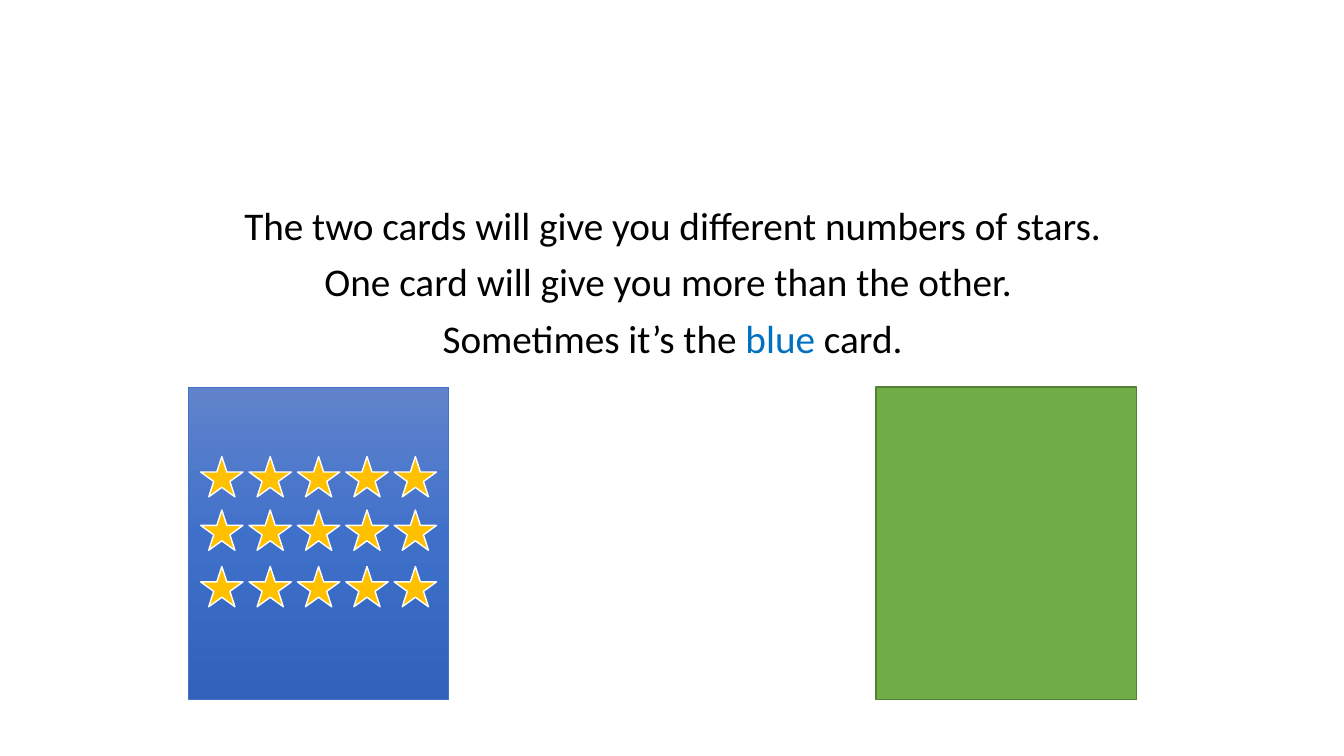
from copy import deepcopy

from pptx import Presentation
from pptx.dml.color import RGBColor
from pptx.enum import shapes, text
from pptx.oxml import ns, xmlchemy
from pptx.util import Inches, Pt

BLACK = RGBColor(0x00, 0x00, 0x00)
WHITE = RGBColor(0xFF, 0xFF, 0xFF)
WORD_BLUE = RGBColor(0x00, 0x70, 0xC0)
GREEN = RGBColor(0x70, 0xAD, 0x47)
DARK_GREEN = RGBColor(0x53, 0x80, 0x35)
GOLD = RGBColor(0xFF, 0xC0, 0x00)
CARD_EDGE = RGBColor(0x44, 0x72, 0xC4)
CARD_BLUES = [
    RGBColor(0x61, 0x83, 0xCB),
    RGBColor(0x3E, 0x70, 0xCA),
    RGBColor(0x30, 0x62, 0xBB),
]


def add_shape(kind, x, y, w, h, line_color, line_width):
    sp = s.shapes.add_shape(kind, Inches(x), Inches(y), Inches(w), Inches(h))
    sp.shadow.inherit = False
    sp.line.color.rgb = line_color
    sp.line.width = Pt(line_width)
    return sp


prs = Presentation()
prs.slide_width = Inches(13.33)
prs.slide_height = Inches(7.5)
s = prs.slides.add_slide(prs.slide_layouts[1])
title = s.shapes.title._element
title.getparent().remove(title)

body = s.placeholders[1]
body_box = {"left": 0.92, "top": 2, "width": 11.5, "height": 4.76}
for name, value in body_box.items():
    setattr(body, name, Inches(value))

tf = body.text_frame
tf.word_wrap = True
tf.auto_size = text.MSO_AUTO_SIZE.NONE
tf.vertical_anchor = text.MSO_ANCHOR.TOP

lines = [
    [("The two cards will give you different numbers of stars.", BLACK)],
    [("One card will give you more than the other. ", BLACK)],
    [("Sometimes it’s the ", BLACK), ("blue ", WORD_BLUE), ("card.", BLACK)],
]
p_format = {
    "alignment": text.PP_ALIGN.CENTER,
    "line_spacing": 0.9,
    "space_before": Pt(10),
    "space_after": Pt(0),
}
r_format = {"name": "Calibri", "size": Pt(28)}
for i, line in enumerate(lines):
    p = tf.paragraphs[0] if i == 0 else tf.add_paragraph()
    for name, value in p_format.items():
        setattr(p, name, value)
    pPr = p._p.get_or_add_pPr()
    pPr.set("marL", "0")
    pPr.set("indent", "0")
    pPr.append(xmlchemy.OxmlElement("a:buNone"))
    for words, color in line:
        r = p.add_run()
        r.text = words
        r.font.color.rgb = color
        for name, value in r_format.items():
            setattr(r.font, name, value)

rect = shapes.MSO_SHAPE.RECTANGLE
blue_card = add_shape(rect, 1.87, 3.84, 2.58, 3.1, CARD_EDGE, 0.5)
blue_card.fill.gradient()
blue_card.fill.gradient_angle = 270
gs_list = blue_card._element.spPr.find(".//" + ns.qn("a:gsLst"))
gs_list.insert(1, deepcopy(gs_list[0]))
for stop, color, position in zip(blue_card.fill.gradient_stops, CARD_BLUES, [0, 0.5, 1]):
    stop.color.rgb = color
    stop.position = position

green_card = add_shape(rect, 8.69, 3.84, 2.58, 3.1, DARK_GREEN, 1)
green_card.fill.solid()
green_card.fill.fore_color.rgb = GREEN

for y in [4.53, 5.06, 5.62]:
    for col in range(5):
        star = add_shape(shapes.MSO_SHAPE.STAR_5_POINT, 1.99 + col * 0.48, y, 0.42, 0.4, WHITE, 1)
        star.fill.solid()
        star.fill.fore_color.rgb = GOLD

prs.save("out.pptx")
